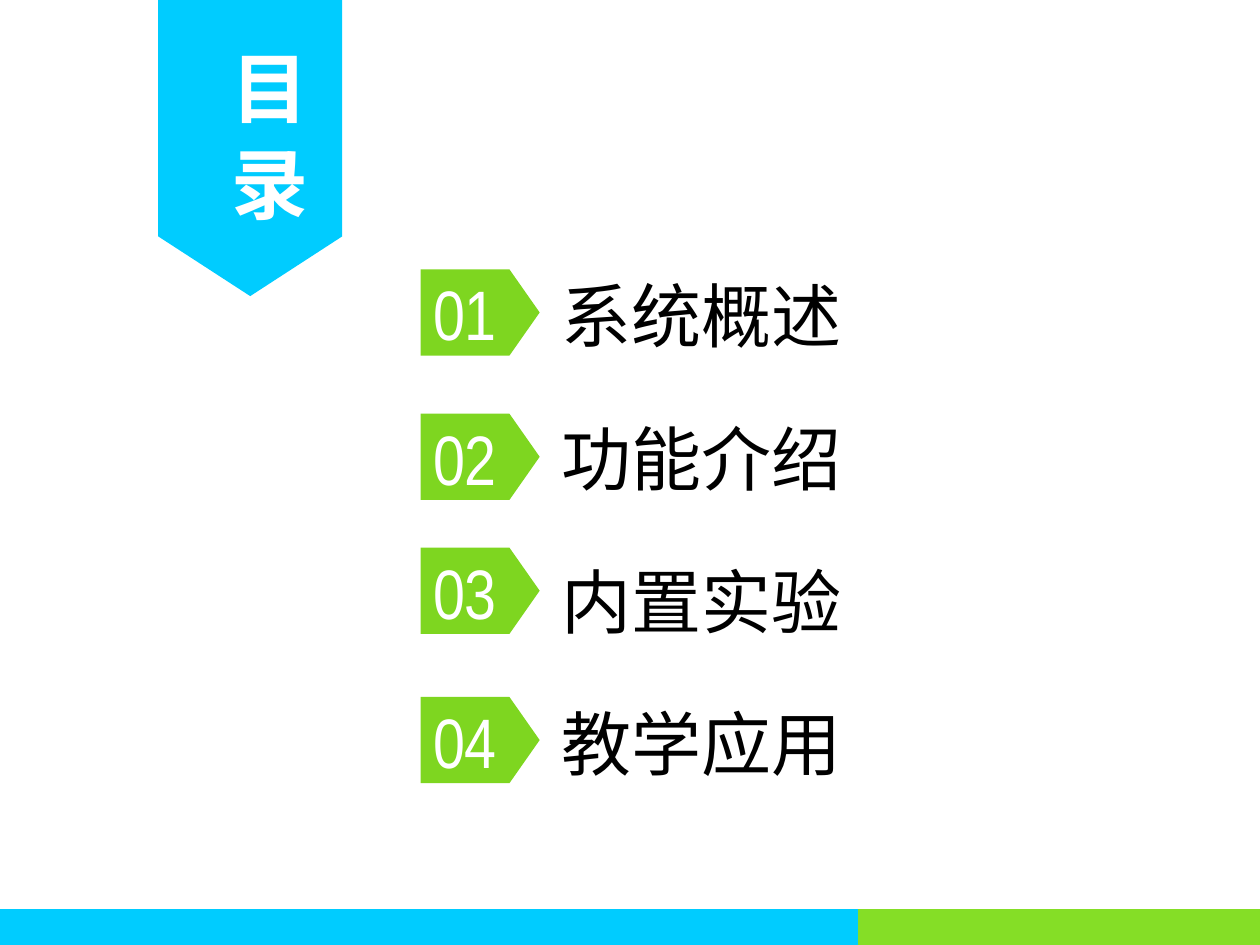
"""Build a contents slide with a ribbon title and four numbered topics."""
import pptx
import pptx.dml.color
import pptx.enum.shapes
import pptx.enum.text
import pptx.oxml.ns
import pptx.util
from lxml import etree

Cm = pptx.util.Cm
Pt = pptx.util.Pt
kinds = pptx.enum.shapes.MSO_SHAPE


def paint(shape, color):
    shape.shadow.inherit = False
    shape.fill.solid()
    shape.fill.fore_color.rgb = pptx.dml.color.RGBColor.from_string(color)
    shape.line.fill.background()


def write(text, left, top, width, height, size, font, color="FFFFFF",
          bold=False, wrap=True, pad=(0.25, 0.13), lead=None, gap=0):
    box = slide.shapes.add_textbox(Cm(left), Cm(top), Cm(width), Cm(height))
    frame = box.text_frame
    frame.word_wrap = wrap
    frame.vertical_anchor = pptx.enum.text.MSO_ANCHOR.TOP
    frame.margin_left = frame.margin_right = Cm(pad[0])
    frame.margin_top = frame.margin_bottom = Cm(pad[1])
    for i, line in enumerate(text.split("\n")):
        para = frame.paragraphs[0] if i == 0 else frame.add_paragraph()
        para.line_spacing = lead
        para.space_before = Pt(gap if i else 0)
        run = para.add_run()
        run.text = line
        run.font.size = Pt(size)
        run.font.bold = bold
        run.font.name = font
        run.font.color.rgb = pptx.dml.color.RGBColor.from_string(color)
        east = etree.SubElement(run.font._element, pptx.oxml.ns.qn("a:ea"))
        east.set("typeface", font)
    return frame


deck = pptx.Presentation()
deck.slide_width = Cm(25.4)
deck.slide_height = Cm(19.05)
slide = deck.slides.add_slide(deck.slide_layouts[6])

bars = [
    (kinds.FLOWCHART_OFFPAGE_CONNECTOR, 3.19, -0.05, 3.71, 6.02, "00CCFF"),
    (kinds.RECTANGLE, 0, 18.33, 17.3, 0.72, "00CCFF"),
    (kinds.RECTANGLE, 17.3, 18.33, 8.2, 0.72, "85DE26"),
]
for kind, left, top, width, height, color in bars:
    bar = slide.shapes.add_shape(kind, Cm(left), Cm(top), Cm(width), Cm(height))
    paint(bar, color)

title = write("目 录", 4.09, 0.76, 2.36, 3.73, 44, "Noto Sans CJK SC",
              bold=True, wrap=False, pad=(0.13, 0.25))
title._txBody.bodyPr.set("vert", "eaVert")

write("系统概述\n功能介绍\n内置实验\n教学应用", 11.07, 4.52, 13.03, 12.57,
      40, "Arial", color="000000", lead=Pt(71.7), gap=10)

left, neck, tip, tall = 8.48, 10.27, 10.88, 1.74
for num, top in enumerate((5.43, 8.34, 11.04, 14.05), 1):
    edge = slide.shapes.build_freeform(Cm(left), Cm(top))
    edge.add_line_segments([
        (Cm(neck), Cm(top)),
        (Cm(tip), Cm(top + tall / 2)),
        (Cm(neck), Cm(top + tall)),
        (Cm(left), Cm(top + tall)),
    ])
    paint(edge.convert_to_shape(), "7ED620")
    write(f"{num:02d}", left, top - 0.1, 2.1, 1.95, 40, "Arial Narrow")

deck.save("out.pptx")
